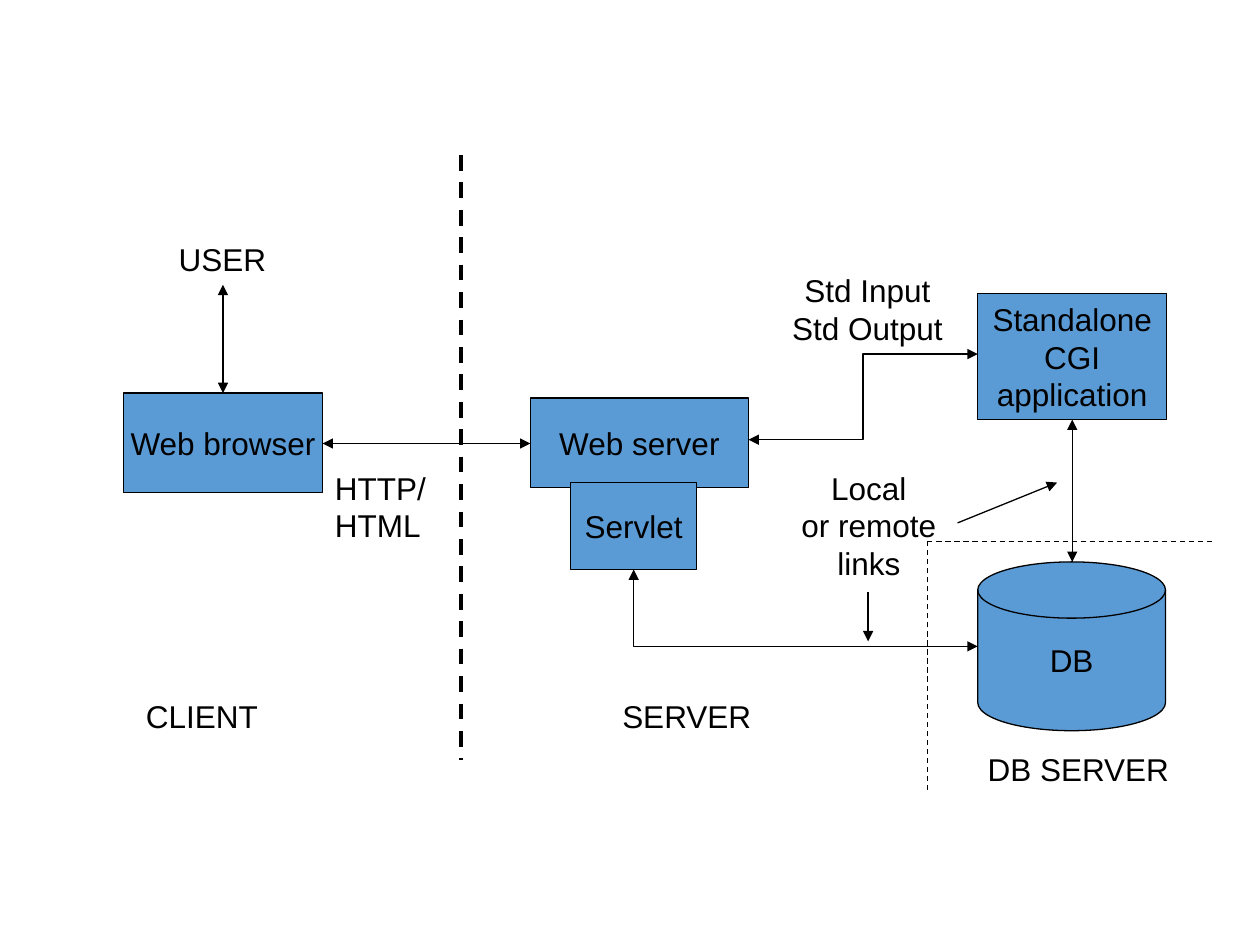
from dataclasses import dataclass

from lxml.etree import SubElement
from pptx import Presentation
from pptx.dml.color import RGBColor
from pptx.enum.dml import MSO_LINE_DASH_STYLE as Dash
from pptx.enum.shapes import MSO_CONNECTOR as Link, MSO_SHAPE as Shape
from pptx.enum.text import MSO_ANCHOR as Anchor, MSO_AUTO_SIZE as Fit, PP_ALIGN as Align
from pptx.oxml.ns import qn
from pptx.util import Inches, Pt


@dataclass(frozen=True)
class Theme:
    """Colours, type and line widths of the diagram."""
    ink: RGBColor = RGBColor(0x00, 0x00, 0x00)
    node: RGBColor = RGBColor(0x5B, 0x9B, 0xD5)
    font: str = "Arial"
    size: Pt = Pt(18)
    thin: Pt = Pt(0.75)
    thick: Pt = Pt(2.25)


THEME = Theme()
COLUMNS, ROWS = 100, 75
WIDTH, HEIGHT = Inches(10), Inches(7.5)

NODES = [
    (Shape.RECTANGLE, "Web browser", (9.8, 31.2, 15.8, 7.9)),
    (Shape.RECTANGLE, "Web server", (42.1, 31.6, 17.3, 7.1)),
    (Shape.RECTANGLE, "Standalone\vCGI\vapplication", (77.6, 23.3, 15, 10)),
    (Shape.FLOWCHART_MAGNETIC_DISK, "DB", (77.6, 44.6, 14.9, 13.4)),
    (Shape.RECTANGLE, "Servlet", (45.3, 38.3, 10, 6.9)),
]
LABELS = [
    ("USER", (13.2, 18.6, 9.2, 4), Align.LEFT),
    ("HTTP/\vHTML", (25.6, 36.7, 9.4, 7), Align.LEFT),
    ("Std Input\nStd Output", (61.7, 21, 14.3, 7), Align.CENTER),
    ("Local\nor remote\nlinks", (62.5, 36.7, 12.9, 10), Align.CENTER),
    ("CLIENT", (10.6, 54.8, 11.1, 4), Align.LEFT),
    ("SERVER", (48.4, 54.8, 12.5, 4), Align.LEFT),
    ("DB SERVER", (77.4, 59, 16.6, 4), Align.LEFT),
]
TWO_WAY = [
    (Link.STRAIGHT, (17.7, 31.2), (17.7, 22.6)),
    (Link.STRAIGHT, (25.6, 35.2), (42.1, 35.2)),
    (Link.STRAIGHT, (85.1, 33.3), (85.1, 44.6)),
    (Link.ELBOW, (59.4, 34.9), (77.6, 28.1)),
]
POINTERS = [((76, 41.5), (83.9, 38.3)), ((68.9, 47), (68.9, 50.9))]
BORDERS = [
    ((36.6, 12.3), (36.6, 60.3), THEME.thick),
    ((73.6, 62.7), (73.6, 43), THEME.thin),
    ((73.6, 43), (96.5, 43), THEME.thin),
]


def across(columns):
    """Turn grid columns into a length."""
    return round(WIDTH * columns / COLUMNS)


def down(rows):
    """Turn grid rows into a length."""
    return round(HEIGHT * rows / ROWS)


def place(cell):
    """Turn a grid cell into left, top, width and height."""
    left, top, width, height = cell
    return across(left), down(top), across(width), down(height)


def write(frame, text, align):
    """Fill a text frame with unwrapped text."""
    frame.word_wrap = False
    frame.text = text
    for para in frame.paragraphs:
        para.alignment = align
        para.font.name = THEME.font
        para.font.size = THEME.size
        para.font.color.rgb = THEME.ink


def add_node(page, kind, text, cell):
    """Draw a filled component with centred text."""
    node = page.shapes.add_shape(kind, *place(cell))
    node.shadow.inherit = False
    node.fill.solid()
    node.fill.fore_color.rgb = THEME.node
    node.line.color.rgb = THEME.ink
    node.line.width = THEME.thin
    node.text_frame.vertical_anchor = Anchor.MIDDLE
    write(node.text_frame, text, Align.CENTER)


def add_label(page, text, cell, align):
    """Write a free label."""
    box = page.shapes.add_textbox(*place(cell))
    write(box.text_frame, text, align)
    box.text_frame.auto_size = Fit.SHAPE_TO_FIT_TEXT


def add_line(page, kind, start, end, heads=(), width=THEME.thin, dash=None):
    """Draw a connector with arrowheads at the named ends."""
    line = page.shapes.add_connector(
        kind, across(start[0]), down(start[1]), across(end[0]), down(end[1]))
    line.line.color.rgb = THEME.ink
    line.line.width = width
    if dash:
        line.line.dash_style = dash
    for head in heads:
        SubElement(line.line._get_or_add_ln(), qn(f"a:{head}"), type="triangle")
    SubElement(line._element.spPr, qn("a:effectLst"))
    return line


def add_corner(page, start, end, heads):
    """Draw a connector that runs down and then right."""
    middle_x, middle_y = (start[0] + end[0]) / 2, (start[1] + end[1]) / 2
    half_run, half_drop = (end[0] - start[0]) / 2, (end[1] - start[1]) / 2
    line = add_line(page, Link.ELBOW, (middle_x + half_drop, middle_y - half_run),
                    (middle_x - half_drop, middle_y + half_run), heads)
    line._element.spPr.find(qn("a:xfrm")).set("rot", str(270 * 60000))
    line._element.spPr.find(qn("a:prstGeom")).set("prst", "bentConnector2")


def main():
    """Build the client and server diagram."""
    deck = Presentation()
    deck.slide_width, deck.slide_height = WIDTH, HEIGHT
    page = deck.slides.add_slide(deck.slide_layouts.get_by_name("Blank"))
    both = ("headEnd", "tailEnd")
    for node in NODES:
        add_node(page, *node)
    for link in TWO_WAY:
        add_line(page, *link, heads=both)
    add_corner(page, (50.3, 45.2), (77.6, 51.3), both)
    for label in LABELS:
        add_label(page, *label)
    for start, end in POINTERS:
        add_line(page, Link.STRAIGHT, start, end, heads=("tailEnd",))
    for start, end, width in BORDERS:
        add_line(page, Link.STRAIGHT, start, end, width=width, dash=Dash.DASH)
    deck.save("out.pptx")


if __name__ == "__main__":
    main()
